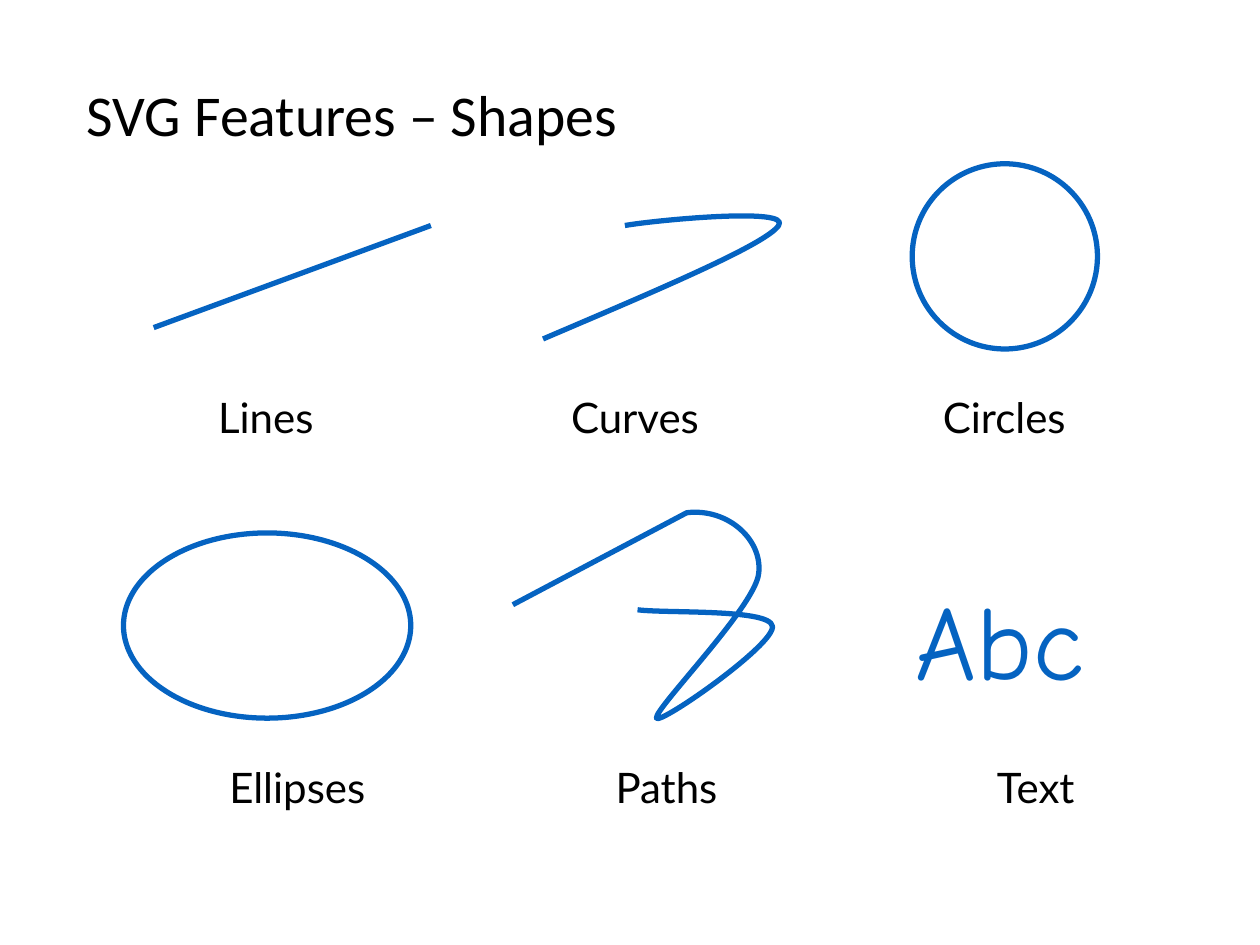
from dataclasses import dataclass

from lxml import etree
from pptx import Presentation, util as u
from pptx.dml.color import RGBColor
from pptx.enum import shapes, text
from pptx.oxml.ns import qn

Inches, Pt = u.Inches, u.Pt


@dataclass(frozen=True)
class Theme:
    ink: RGBColor = RGBColor(0x00, 0x00, 0x00)
    blue: RGBColor = RGBColor(0x05, 0x63, 0xC1)
    paper: RGBColor = RGBColor(0xFF, 0xFF, 0xFF)
    title_font: str = "Calibri"
    label_font: str = "Lato"
    sample_font: str = "Comic Neue"
    title_size: int = 33
    label_size: int = 24
    sample_size: int = 60
    stroke: int = 3


T = Theme()


def add_text(s, box, words, font, size, color, align=text.PP_ALIGN.CENTER,
             spacing=0.9, wrap=False):
    sp = s.shapes.add_textbox(*map(Inches, box))
    tf = sp.text_frame
    tf.word_wrap = wrap
    tf.vertical_anchor = text.MSO_ANCHOR.MIDDLE
    p = tf.paragraphs[0]
    p.alignment = align
    p.line_spacing = spacing
    r = p.add_run()
    r.text = words
    r.font.name, r.font.size, r.font.color.rgb = font, Pt(size), color
    return sp


def style_line(sp):
    sp.line.color.rgb = T.blue
    sp.line.width = Pt(T.stroke)


def style_shape(sp, filled=True):
    sp.shadow.inherit = False
    if filled:
        sp.fill.solid()
        sp.fill.fore_color.rgb = T.paper
    else:
        sp.fill.background()
    style_line(sp)


# Drawings: each takes the slide and its box (left, top, width, height)
def draw_line(s, box):
    x, y, w, h = box
    sp = s.shapes.add_connector(shapes.MSO_CONNECTOR.STRAIGHT, Inches(x),
                                Inches(y + h), Inches(x + w), Inches(y))
    style_line(sp)
    etree.SubElement(sp._element.spPr, qn("a:effectLst"))


def draw_ellipse(s, box):
    sp = s.shapes.add_shape(shapes.MSO_SHAPE.OVAL, *map(Inches, box))
    style_shape(sp)


def draw_freeform(s, box, start, segments, filled):
    """Segments hold offsets from the box corner: one point is a line, three a curve."""
    x, y = box[:2]
    points = [start] + [point for seg in segments for point in seg]
    emu = [(Inches(x + px), Inches(y + py)) for px, py in points]
    fb = s.shapes.build_freeform(*emu[0])
    fb.add_line_segments(emu[1:], close=False)
    sp = fb.convert_to_shape()

    # Join each three control points into one cubic curve
    lines = iter(list(sp._element.iter(qn("a:lnTo"))))
    for seg in segments:
        first, *others = [next(lines) for _ in seg]
        if others:
            first.tag = qn("a:cubicBezTo")
            for line in others:
                first.append(line[0])
                line.getparent().remove(line)
    style_shape(sp, filled)


def draw_curve(s, box):
    draw_freeform(s, box, (0, 1.05), [
        [(0.89, 0.67), (1.77, 0.3), (1.87, 0.15)],
        [(1.98, 0), (0.87, 0.11), (0.65, 0.15)],
    ], filled=False)


def draw_path(s, box):
    draw_freeform(s, box, (0, 0.77), [
        [(1.38, 0.04)],
        [(1.71, 0), (1.99, 0.26), (1.95, 0.53)],
        [(1.91, 0.8), (1.12, 1.6), (1.14, 1.67)],
        [(1.16, 1.73), (2.09, 1.08), (2.06, 0.94)],
        [(2.04, 0.8), (1.21, 0.84), (0.99, 0.81)],
    ], filled=True)


def draw_sample(s, box):
    sp = add_text(s, box, "Abc", T.sample_font, T.sample_size, T.blue)
    sp.text_frame.auto_size = text.MSO_AUTO_SIZE.SHAPE_TO_FIT_TEXT
    sp.text_frame.paragraphs[0].space_before = Pt(37.5)


def add_title(s, box):
    add_text(s, box, "SVG Features – Shapes", T.title_font, T.title_size, T.ink,
             text.PP_ALIGN.LEFT, 0.7, wrap=True)


def add_row(s, box, features):
    """Labels in equal columns across the box, each with its drawing above."""
    x, y, w, h = box
    pitch = w / len(features)
    for i, (label, draw, drawing_box) in enumerate(features):
        add_text(s, (x + i * pitch, y, 2.6, h), label,
                 T.label_font, T.label_size, T.ink)
        draw(s, drawing_box)


def main():
    prs = Presentation()
    prs.slide_width, prs.slide_height = Inches(10), Inches(7.5)
    s = prs.slides.add_slide(prs.slide_layouts[6])

    add_title(s, (0.59, 0.34, 8.5, 1.25))
    # Basic shapes
    add_row(s, (0.81, 3.01, 8.79, 0.65), [
        ("Lines", draw_line, (1.22, 1.79, 2.2, 0.81)),
        ("Curves", draw_curve, (4.31, 1.64, 1.98, 1.05)),
        ("Circles", draw_ellipse, (7.24, 1.3, 1.47, 1.47)),
    ])
    # Richer shapes
    add_row(s, (1.06, 5.94, 8.79, 0.65), [
        ("Ellipses", draw_ellipse, (0.98, 4.23, 2.28, 1.47)),
        ("Paths", draw_path, (4.07, 4.03, 2.09, 1.74)),
        ("Text", draw_sample, (7.17, 4.63, 1.53, 1)),
    ])
    prs.save("out.pptx")


if __name__ == "__main__":
    main()
